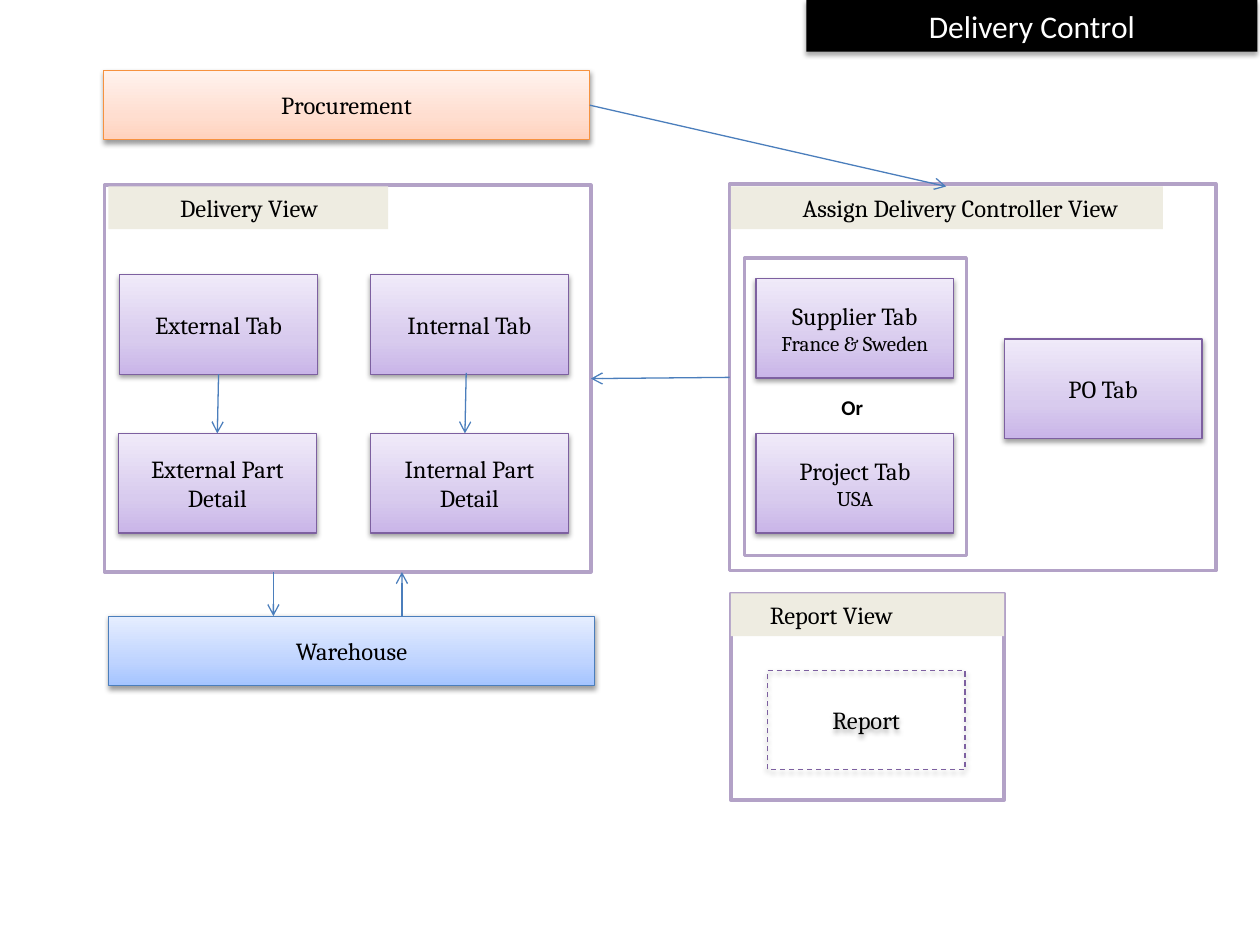
from copy import deepcopy
from dataclasses import dataclass

from lxml import etree
from pptx import Presentation
from pptx.dml.color import RGBColor
from pptx.enum.dml import MSO_LINE
from pptx.enum.shapes import MSO_CONNECTOR, MSO_SHAPE
from pptx.enum.text import MSO_ANCHOR, PP_ALIGN
from pptx.oxml.ns import qn
from pptx.util import Inches, Pt

RECT = MSO_SHAPE.RECTANGLE
STRAIGHT = MSO_CONNECTOR.STRAIGHT
DASH = MSO_LINE.DASH
LEFT, CENTER = PP_ALIGN.LEFT, PP_ALIGN.CENTER
TOP, MIDDLE = MSO_ANCHOR.TOP, MSO_ANCHOR.MIDDLE
TO_TOP, TO_LEFT, TO_BOTTOM, TO_RIGHT = range(4)


@dataclass(frozen=True)
class Theme:
    serif: str = "Cambria"
    sans: str = "Calibri"
    title: int = 18
    body: int = 14
    small: int = 12
    ink: str = "000000"
    paper: str = "FFFFFF"
    label: str = "EEECE1"
    frame: str = "B3A2C7"
    arrow: str = "4B7EBC"
    # Each tone: outline, then gradient from bottom to top
    purple: tuple = ("7D60A0", "C9B5E8", "D8CBEE", "F0EAF9")
    orange: tuple = ("F69240", "FFD2BD", "FFDED0", "FFF2ED")
    blue: tuple = ("4B7EBC", "A4C4FF", "BFD4FF", "E6EEFF")


def rgb(color):
    return RGBColor.from_string(color)


def write(frame, *lines, sizes, font, color, bold=False, align=CENTER, anchor=MIDDLE):
    """Write one paragraph per line, each with its own size."""
    frame.vertical_anchor = anchor
    for i, (line, size) in enumerate(zip(lines, sizes)):
        para = frame.add_paragraph() if i else frame.paragraphs[0]
        para.alignment = align
        run = para.add_run()
        run.text = line
        run.font.size, run.font.name, run.font.bold = Pt(size), font, bold
        run.font.color.rgb = rgb(color)


class Board:
    def __init__(self, slide, theme):
        self.slide, self.theme = slide, theme

    def rect(self, x, y, w, h, fill=None, line=None, width=0.75):
        box = self.slide.shapes.add_shape(RECT, Inches(x), Inches(y), Inches(w), Inches(h))
        box.shadow.inherit = False
        if fill:
            box.fill.solid()
            box.fill.fore_color.rgb = rgb(fill)
        else:
            box.fill.background()
        if line:
            box.line.color.rgb = rgb(line)
            box.line.width = Pt(width)
        else:
            box.line.fill.background()
        return box

    def shade(self, box, alpha=38, dist=1.6):
        effects = box._element.spPr.find(qn("a:effectLst"))
        drop = etree.SubElement(effects, qn("a:outerShdw"), blurRad=str(Pt(3.1)),
                                dist=str(Pt(dist)), dir="5400000", rotWithShape="0")
        tint = etree.SubElement(drop, qn("a:srgbClr"), val=self.theme.ink)
        etree.SubElement(tint, qn("a:alpha"), val=str(alpha * 1000))

    def blend(self, box, colors):
        box.fill.gradient()
        box.fill.gradient_angle = 90
        stops = box._element.spPr.find(".//" + qn("a:gsLst"))
        stops.append(deepcopy(stops[0]))
        for stop, spot, color in zip(box.fill.gradient_stops, (0, 0.35, 1), colors):
            stop.position = spot
            stop.color.rgb = rgb(color)

    def block(self, x, y, w, h, *lines, tone):
        t = self.theme
        box = self.rect(x, y, w, h, line=tone[0])
        self.blend(box, tone[1:])
        self.shade(box)
        write(box.text_frame, *lines, sizes=(t.body, t.small), font=t.serif, color=t.ink)
        return box

    def tab(self, x, y, *lines):
        return self.block(x, y, 1.57, 0.79, *lines, tone=self.theme.purple)

    def frame(self, x, y, w, h):
        return self.rect(x, y, w, h, line=self.theme.frame, width=2)

    def label(self, x, y, w, text, inset):
        t = self.theme
        box = self.rect(x, y, w, 0.34, fill=t.label)
        box.text_frame.margin_left = Inches(inset)
        write(box.text_frame, text, sizes=(t.body,), font=t.serif, color=t.ink,
              align=LEFT, anchor=TOP)

    def banner(self, x, y, w, h, text):
        t = self.theme
        box = self.rect(x, y, w, h, fill=t.ink)
        self.shade(box, alpha=35, dist=1.8)
        write(box.text_frame, text, sizes=(t.title,), font=t.sans, color=t.paper)

    def note(self, x, y, w, h, text):
        t = self.theme
        box = self.slide.shapes.add_textbox(Inches(x), Inches(y), Inches(w), Inches(h))
        write(box.text_frame, text, sizes=(t.small,), font=t.sans, color=t.ink,
              bold=True, align=LEFT, anchor=TOP)

    def ghost(self, x, y, w, h, text):
        t = self.theme
        box = self.rect(x, y, w, h, line=t.purple[0])
        box.line.dash_style = DASH
        self.shade(box)
        write(box.text_frame, text, sizes=(t.body,), font=t.serif, color=t.ink)

    def arrow(self, start, end, source=None, target=None):
        """Draw an arrow; source and target are (shape, side) joins."""
        link = self.slide.shapes.add_connector(STRAIGHT, *map(Inches, start + end))
        if source:
            link.begin_connect(*source)
        if target:
            link.end_connect(*target)
        link.line.color.rgb = rgb(self.theme.arrow)
        link.line.width = Pt(0.75)
        props = link._element.spPr
        etree.SubElement(props.find(qn("a:ln")), qn("a:tailEnd"), type="arrow")
        etree.SubElement(props, qn("a:effectLst"))


def main():
    deck = Presentation()
    deck.slide_width, deck.slide_height = Inches(10), Inches(7.5)
    theme = Theme()
    board = Board(deck.slides.add_slide(deck.slide_layouts[6]), theme)

    # Delivery view
    outer = board.tab(0.95, 2.18, "External Tab")
    board.tab(2.94, 2.18, "Internal Tab")
    part = board.tab(0.94, 3.44, "External Part Detail")
    board.tab(2.94, 3.44, "Internal Part Detail")
    board.arrow((1.73, 2.96), (1.72, 3.44), (outer, TO_BOTTOM), (part, TO_TOP))
    board.arrow((3.7, 2.96), (3.69, 3.44))
    view = board.frame(0.83, 1.47, 3.86, 3.07)
    board.label(0.86, 1.48, 2.22, "Delivery View", 0.57)

    # Source and store
    buyer = board.block(0.82, 0.56, 3.86, 0.55, "Procurement", tone=theme.orange)
    board.block(0.86, 4.89, 3.86, 0.55, "Warehouse", tone=theme.blue)

    # Assign delivery controller view
    assign = board.frame(5.79, 1.46, 3.86, 3.07)
    board.label(5.8, 1.48, 3.43, "Assign Delivery Controller View", 0.57)
    board.tab(6, 2.21, "Supplier Tab", "France & Sweden")
    board.tab(6, 3.44, "Project Tab", "USA")
    board.tab(7.97, 2.69, "PO Tab")

    # Flow between the parts
    board.arrow((4.68, 0.84), (7.51, 1.48), source=(buyer, TO_RIGHT))
    board.arrow((5.79, 3), (4.69, 3), (assign, TO_LEFT), (view, TO_RIGHT))
    board.arrow((2.17, 4.54), (2.17, 4.89))
    board.arrow((3.19, 4.89), (3.19, 4.54))

    # Choice of tabs
    board.frame(5.91, 2.05, 1.76, 2.36)
    board.note(6.58, 3.08, 0.42, 0.3, "Or")

    # Slide heading
    board.banner(6.4, 0, 3.58, 0.41, "Delivery Control")

    # Report view
    board.frame(5.8, 4.71, 2.17, 1.64)
    board.label(5.8, 4.71, 2.17, "Report View", 0.31)
    board.ghost(6.09, 5.32, 1.57, 0.79, "Report")

    deck.save("out.pptx")


if __name__ == "__main__":
    main()
